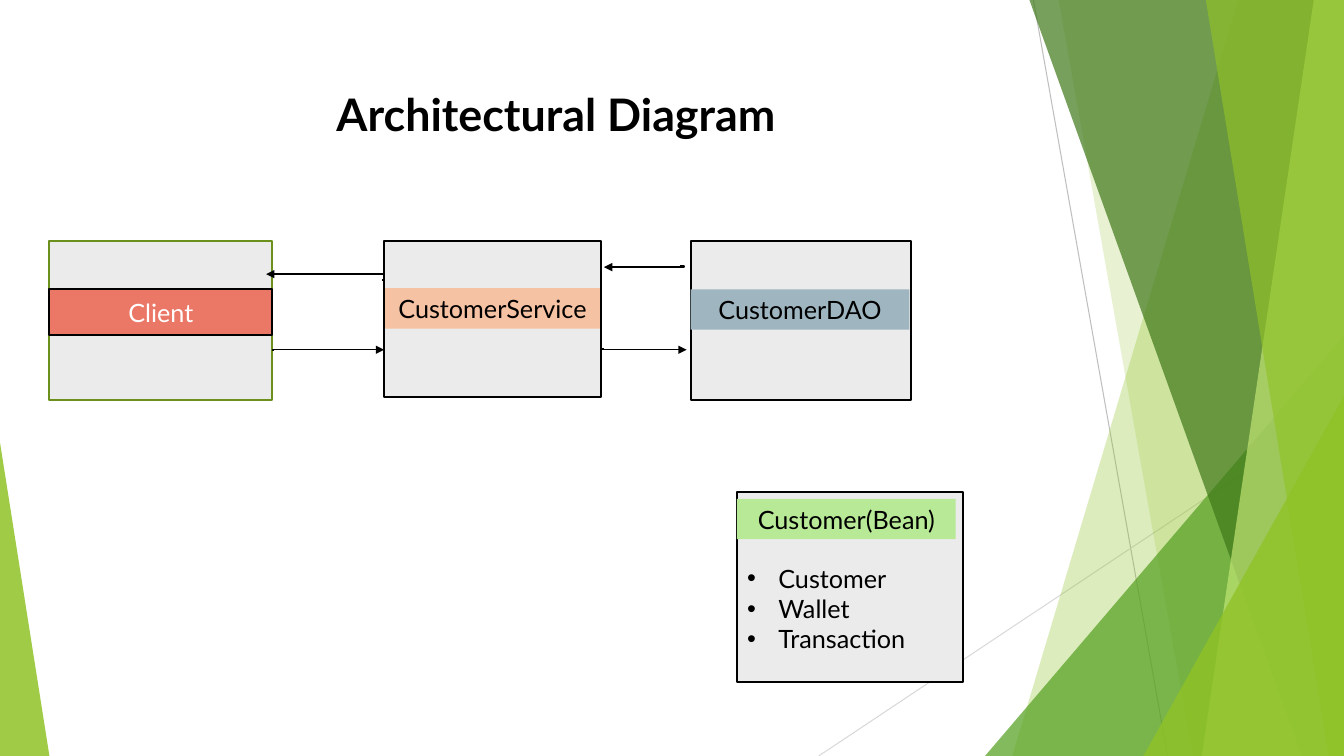
from lxml import etree
from pptx import Presentation
from pptx import util as u
from pptx.dml.color import RGBColor
from pptx.enum import shapes, text
from pptx.oxml import ns

WIDTH, HEIGHT = 13.33, 7.5
FONT = "Lato"
TITLE = "Architectural Diagram"
BEANS = ["Customer", "Wallet", "Transaction"]

RAYS = [((10.25, 0), (11.58, HEIGHT), "BFBFBF"), ((WIDTH, 4.03), (8.12, HEIGHT), "D9D9D9")]
BACK_BANDS = [(12.28, 10.04, "90C226", 30), (10.5, 11.83, "90C226", 20)]
FRONT_BANDS = [(10.21, 12.91, "3F7819", 70), (13.03, 11.92, "C0E474", 70), (11.96, 13.18, "90C226", 65)]
GREEN_CORNER = (9.77, 3.33, 3.56, 1, "54A021", 72)
LIME_CORNERS = [(11.34, 3.93, 1.99, 1, "90C226", 80), (0, 4.39, 0.49, 0, "90C226", 85)]

BOXES = [
    (6.85, 2.39, 2.19, 1.58, "000000"),
    (3.81, 2.39, 2.15, 1.55, "000000"),
    (7.31, 4.88, 2.24, 1.89, "000000"),
    (0.49, 2.39, 2.21, 1.58, "6B901C"),
]
LABELS = [
    ("CustomerDAO", 6.85, 2.87, 2.17, 0.4, "9FB6C0", None, "000000"),
    ("CustomerService", 3.82, 2.86, 2.13, 0.4, "F5C2A3", None, "000000"),
    ("Customer(Bean)", 7.31, 4.95, 2.17, 0.4, "B7E996", None, "000000"),
    ("Client", 0.49, 2.87, 2.21, 0.45, "EB7766", "000000", "FFFFFF"),
]
ARROWS = [
    ((6.74, 2.64), (5.99, 2.65), -5900),
    ((5.99, 3.46), (6.81, 3.47), -2800),
    ((2.72, 3.48), (3.81, 3.47), -1000),
    ((3.79, 2.78), (2.64, 2.72), -1700),
]


def color(value):
    return RGBColor.from_string(value)


def inches(*values):
    return [u.Inches(value) for value in values]


def paint(shape, fill, line=None, opacity=100):
    shape.shadow.inherit = False
    shape.fill.solid()
    shape.fill.fore_color.rgb = color(fill)
    if opacity < 100:
        fill_color = shape.fill._xPr.find(".//" + ns.qn("a:srgbClr"))
        etree.SubElement(fill_color, ns.qn("a:alpha"), val=str(opacity * 1000))
    if line:
        shape.line.color.rgb = color(line)
        shape.line.width = u.Pt(1.5)
    else:
        shape.line.fill.background()


def add_rectangle(left, top, width, height, fill, line):
    shape = slide.shapes.add_shape(shapes.MSO_SHAPE.RECTANGLE, *inches(left, top, width, height))
    paint(shape, fill, line)
    return shape


def add_band(top_x, bottom_x, fill, opacity):
    builder = slide.shapes.build_freeform(*inches(top_x, 0), scale=1.0)
    corners = [(WIDTH, 0), (WIDTH, HEIGHT), (bottom_x, HEIGHT)]
    builder.add_line_segments([inches(*corner) for corner in corners], close=True)
    paint(builder.convert_to_shape(), fill, opacity=opacity)


def add_corner(left, top, width, apex, fill, opacity):
    place = inches(left, top, width, HEIGHT - top)
    shape = slide.shapes.add_shape(shapes.MSO_SHAPE.ISOSCELES_TRIANGLE, *place)
    shape.adjustments[0] = apex
    paint(shape, fill, opacity=opacity)


def add_line(kind, start, end, line, width):
    connector = slide.shapes.add_connector(kind, *inches(*start, *end))
    connector.line.color.rgb = color(line)
    connector.line.width = u.Pt(width)
    etree.SubElement(connector._element.spPr, ns.qn("a:effectLst"))
    return connector


def add_arrow(start, end, bend):
    connector = add_line(shapes.MSO_CONNECTOR.ELBOW, start, end, "000000", 1)
    properties = connector._element.spPr
    guides = properties.find(".//" + ns.qn("a:avLst"))
    etree.SubElement(guides, ns.qn("a:gd"), name="adj1", fmla=f"val {bend}")
    etree.SubElement(properties.find(ns.qn("a:ln")), ns.qn("a:tailEnd"), type="triangle")


def place(shape, left, top, width, height):
    shape.left, shape.top, shape.width, shape.height = inches(left, top, width, height)


def format_text(shape, size, font_color, alignment, bold=False):
    frame = shape.text_frame
    frame.word_wrap = True
    frame.auto_size = text.MSO_AUTO_SIZE.NONE
    frame.vertical_anchor = text.MSO_ANCHOR.MIDDLE
    for paragraph in frame.paragraphs:
        paragraph.alignment = alignment
        paragraph.space_before = u.Pt(0)
        for run in paragraph.runs:
            run.font.name = FONT
            run.font.size = u.Pt(size)
            run.font.bold = bold
            run.font.color.rgb = color(font_color)


presentation = Presentation()
presentation.slide_width, presentation.slide_height = inches(WIDTH, HEIGHT)
slide = presentation.slides.add_slide(presentation.slide_layouts[1])
title, body = slide.placeholders

for start, end, line in RAYS:
    add_line(shapes.MSO_CONNECTOR.STRAIGHT, start, end, line, 0.75)
for band in BACK_BANDS:
    add_band(*band)
add_corner(*GREEN_CORNER)
for band in FRONT_BANDS:
    add_band(*band)
for corner in LIME_CORNERS:
    add_corner(*corner)

for left, top, width, height, line in BOXES:
    add_rectangle(left, top, width, height, "EBEBEB", line)
for label, left, top, width, height, fill, line, font_color in LABELS:
    shape = add_rectangle(left, top, width, height, fill, line)
    shape.text_frame.text = label
    format_text(shape, 18, font_color, text.PP_ALIGN.CENTER)
for arrow in ARROWS:
    add_arrow(*arrow)

place(title, 1.34, 0.81, 8.35, 0.64)
title.text_frame.text = TITLE
format_text(title, 32, "000000", text.PP_ALIGN.CENTER, bold=True)

place(body, 7.31, 5.53, 2.17, 1.01)
body.text_frame.text = "\n".join(BEANS)
format_text(body, 18, "000000", text.PP_ALIGN.LEFT)
for paragraph in body.text_frame.paragraphs:
    properties = paragraph._p.get_or_add_pPr()
    properties.set("marL", str(u.Inches(0.31)))
    properties.set("indent", str(u.Inches(-0.31)))
    etree.SubElement(properties, ns.qn("a:buChar"), char="•")
slide.shapes._spTree.append(body._element)

presentation.save("out.pptx")
